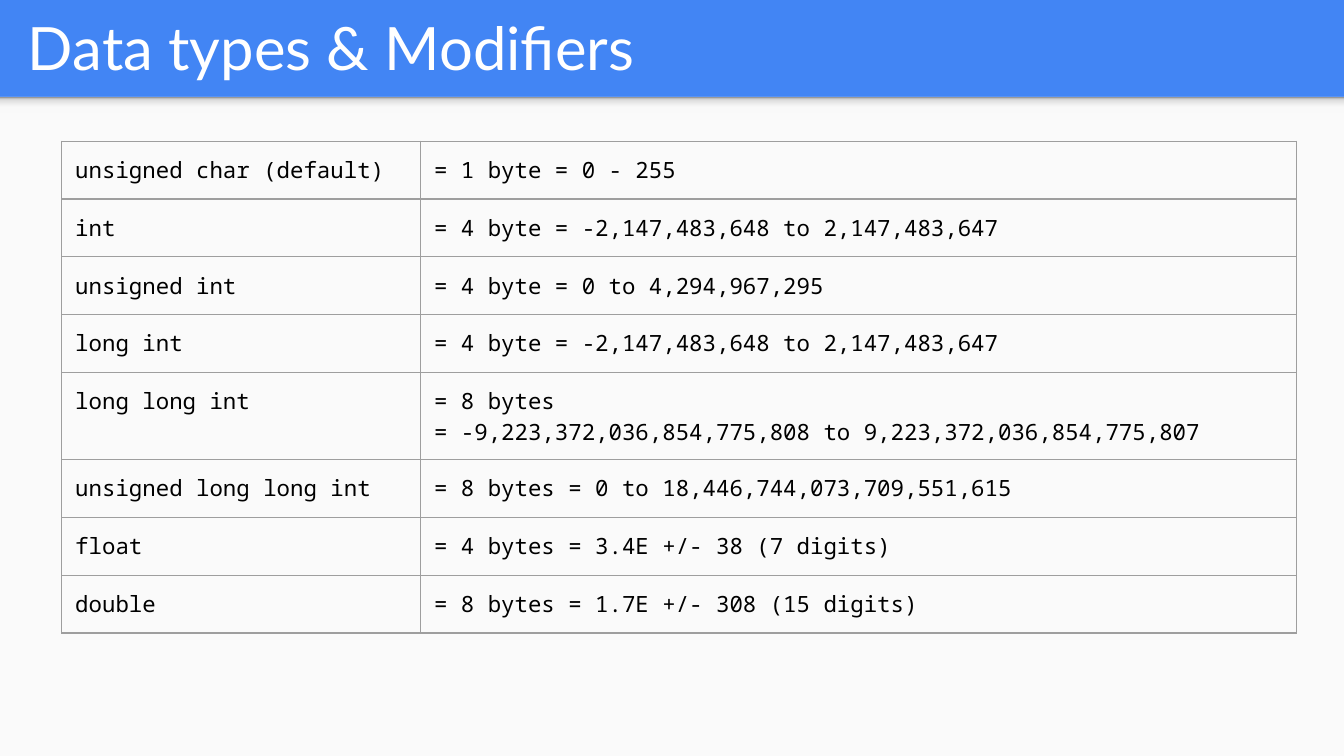
from typing import NamedTuple

import pptx
import pptx.dml.color
import pptx.enum.shapes
import pptx.enum.text
import pptx.oxml
import pptx.oxml.ns
import pptx.util
from lxml import etree

Inches = pptx.util.Inches
Pt = pptx.util.Pt
RGBColor = pptx.dml.color.RGBColor
qn = pptx.oxml.ns.qn

BLUE = RGBColor(0x42, 0x85, 0xF4)
PAPER = RGBColor(0xFA, 0xFA, 0xFA)
WHITE = RGBColor(0xFF, 0xFF, 0xFF)
BLACK = RGBColor(0x00, 0x00, 0x00)
BORDER = RGBColor(0x9E, 0x9E, 0x9E)
SHADE_STOPS = (
    (0, RGBColor(0xF9, 0xF9, 0xF9)),
    (36, RGBColor(0xF9, 0xF9, 0xF9)),
    (80, RGBColor(0xDE, 0xDE, 0xDE)),
    (100, RGBColor(0x99, 0x99, 0x99)),
)

SLIDE_WIDTH = 10
SLIDE_HEIGHT = SLIDE_WIDTH * 9 / 16
HEADER_HEIGHT = 0.72
COLUMN_WIDTHS = (2.67, 6.52)
ROW_HEIGHT = 0.43
EXTRA_LINE_HEIGHT = 0.22
INSETS = {f"margin_{side}": Inches(0.1) for side in ("left", "right", "top", "bottom")}
TITLE_FONT = {"name": "Lato", "size": Pt(32)}
CODE_FONT = {"name": "Noto Sans Mono", "size": Pt(12)}


class DataType(NamedTuple):
    name: str
    value_range: str


DATA_TYPES = (
    DataType("unsigned char (default)", "= 1 byte = 0 - 255"),
    DataType("int", "= 4 byte = -2,147,483,648 to 2,147,483,647"),
    DataType("unsigned int", "= 4 byte = 0 to 4,294,967,295"),
    DataType("long int", "= 4 byte = -2,147,483,648 to 2,147,483,647"),
    DataType(
        "long long int",
        "= 8 bytes\n= -9,223,372,036,854,775,808 to 9,223,372,036,854,775,807",
    ),
    DataType("unsigned long long int", "= 8 bytes = 0 to 18,446,744,073,709,551,615"),
    DataType("float", "= 4 bytes = 3.4E +/- 38 (7 digits)"),
    DataType("double", "= 8 bytes = 1.7E +/- 308 (15 digits)"),
)


def apply(target, values: dict) -> None:
    for attribute, value in values.items():
        setattr(target, attribute, value)


def write(frame, text: str, font: dict, color: RGBColor) -> None:
    frame.text = text
    for paragraph in frame.paragraphs:
        for run in paragraph.runs:
            apply(run.font, font)
            run.font.color.rgb = color


def add_band(slide, top: float, height: float):
    band = slide.shapes.add_shape(
        pptx.enum.shapes.MSO_SHAPE.RECTANGLE,
        Inches(0), Inches(top), Inches(SLIDE_WIDTH), Inches(height),
    )
    band.shadow.inherit = False
    band.line.fill.background()
    return band


def shade(band) -> None:
    band.fill.gradient()
    band.fill.gradient_angle = 90
    stops = band.element.spPr.find(".//" + qn("a:gsLst"))
    for stop in list(stops):
        stops.remove(stop)
    for position, color in SHADE_STOPS:
        stop = etree.SubElement(stops, qn("a:gs"), pos=str(position * 1000))
        etree.SubElement(stop, qn("a:srgbClr"), val=str(color))


def add_borders(cell) -> None:
    properties = cell._tc.get_or_add_tcPr()
    for index, side in enumerate(("lnL", "lnR", "lnT", "lnB")):
        border = pptx.oxml.parse_xml(
            f'<a:{side} {pptx.oxml.ns.nsdecls("a")} w="{Pt(0.75)}"><a:solidFill>'
            f'<a:srgbClr val="{BORDER}"/></a:solidFill></a:{side}>'
        )
        properties.insert(index, border)


def add_title(slide, text: str) -> None:
    title = slide.shapes.add_textbox(Inches(0.11), Inches(0.02), Inches(9.65), Inches(0.66))
    apply(title.text_frame, INSETS | {
        "word_wrap": True,
        "vertical_anchor": pptx.enum.text.MSO_ANCHOR.MIDDLE,
    })
    write(title.text_frame, text, TITLE_FONT, WHITE)


def add_type_table(slide, data_types: tuple[DataType, ...]) -> None:
    row_heights = [
        ROW_HEIGHT + EXTRA_LINE_HEIGHT * data_type.value_range.count("\n")
        for data_type in data_types
    ]
    table = slide.shapes.add_table(
        len(data_types), len(COLUMN_WIDTHS), Inches(0.46), Inches(1.05),
        Inches(sum(COLUMN_WIDTHS)), Inches(sum(row_heights)),
    ).table
    apply(table, {"first_row": False, "horz_banding": False})
    for column, width in zip(table.columns, COLUMN_WIDTHS):
        column.width = Inches(width)
    for row, height, data_type in zip(table.rows, row_heights, data_types):
        row.height = Inches(height)
        for cell, text in zip(row.cells, data_type):
            apply(cell, INSETS)
            cell.fill.background()
            add_borders(cell)
            write(cell.text_frame, text, CODE_FONT, BLACK)


def main() -> None:
    deck = pptx.Presentation()
    apply(deck, {"slide_width": Inches(SLIDE_WIDTH), "slide_height": Inches(SLIDE_HEIGHT)})
    slide = deck.slides.add_slide(deck.slide_layouts[6])
    slide.background.fill.solid()
    slide.background.fill.fore_color.rgb = BLUE

    body = add_band(slide, HEADER_HEIGHT, SLIDE_HEIGHT - HEADER_HEIGHT)
    body.fill.solid()
    body.fill.fore_color.rgb = PAPER
    shade(add_band(slide, HEADER_HEIGHT, 0.12))

    add_title(slide, "Data types & Modifiers")
    add_type_table(slide, DATA_TYPES)
    deck.save("out.pptx")


if __name__ == "__main__":
    main()
